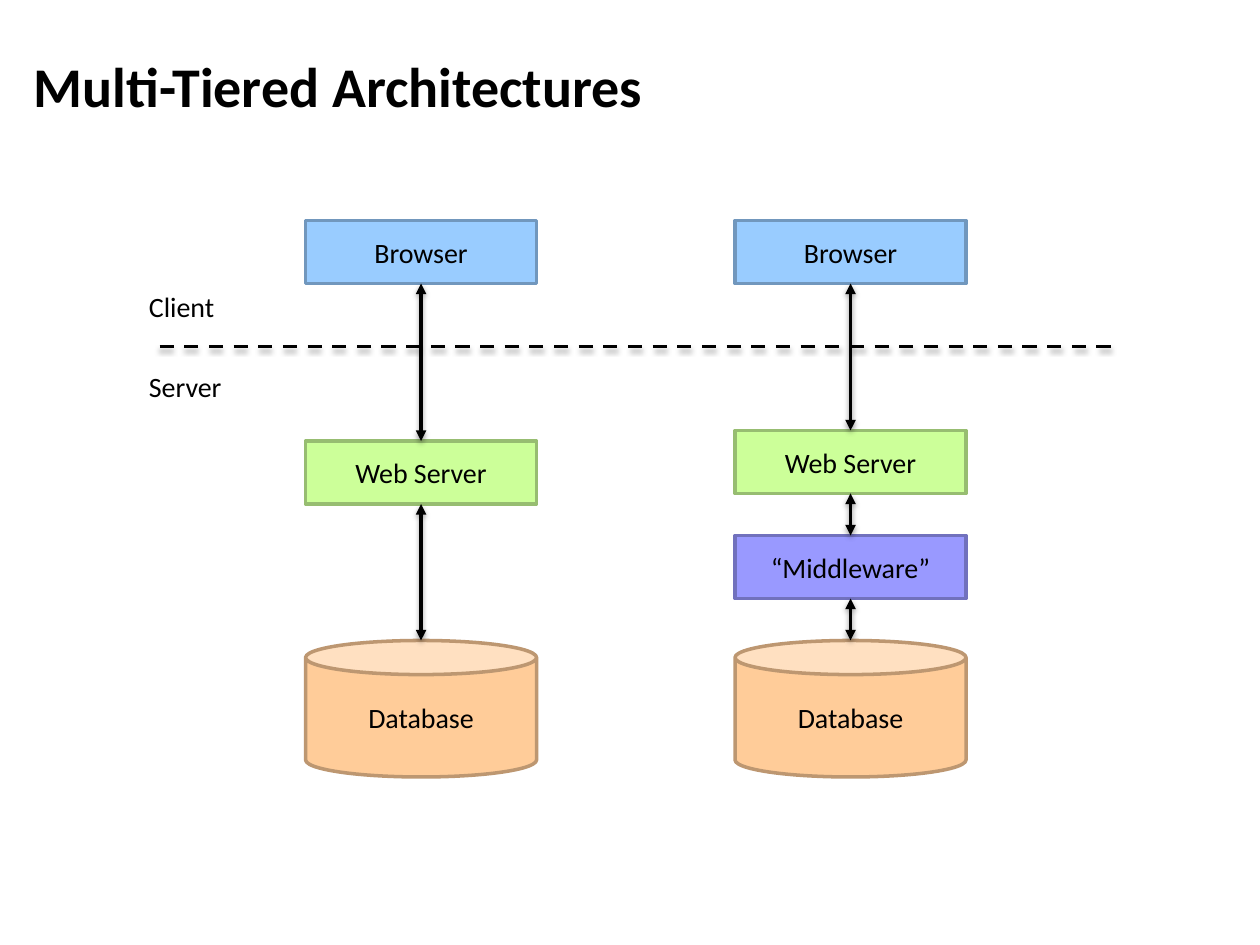
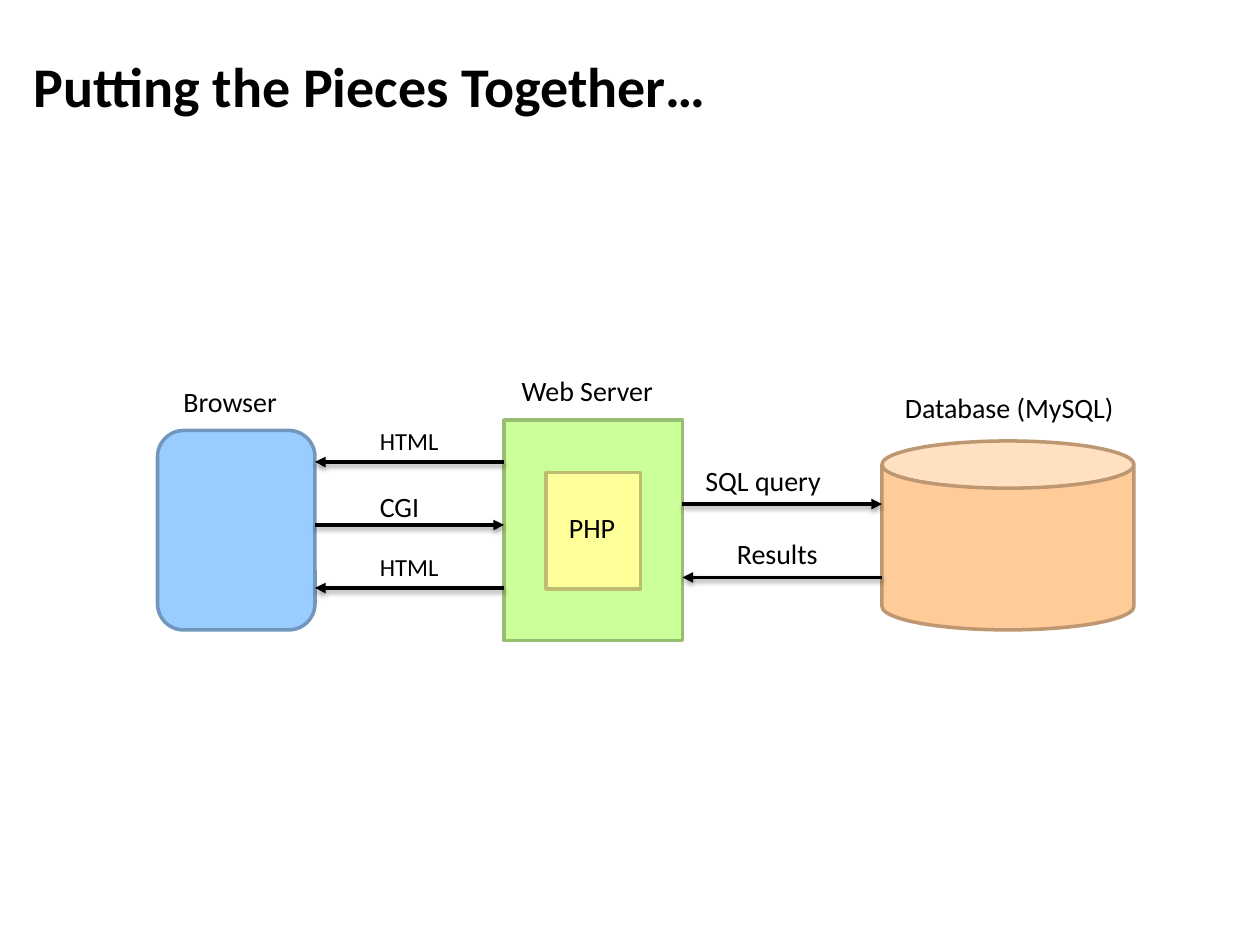
from dataclasses import dataclass
from itertools import pairwise

from lxml.etree import SubElement
from pptx import Presentation
from pptx.dml.color import RGBColor
from pptx.enum.dml import MSO_LINE
from pptx.enum.shapes import MSO_CONNECTOR, MSO_SHAPE
from pptx.enum.text import MSO_ANCHOR, PP_ALIGN
from pptx.oxml.ns import qn
from pptx.util import Inches, Pt

COLUMNS, ROWS = 120, 90
SLIDE_WIDTH, SLIDE_HEIGHT = Inches(10), Inches(7.5)
FONT = "Calibri"
BLACK = RGBColor(0x00, 0x00, 0x00)
BLUE = (RGBColor(0x99, 0xCC, 0xFF), RGBColor(0x71, 0x97, 0xBD))
GREEN = (RGBColor(0xCC, 0xFF, 0x99), RGBColor(0x97, 0xBD, 0x71))
PURPLE = (RGBColor(0x99, 0x99, 0xFF), RGBColor(0x71, 0x71, 0xBD))
ORANGE = (RGBColor(0xFF, 0xCC, 0x99), RGBColor(0xBD, 0x97, 0x71))
YELLOW = (RGBColor(0xFF, 0xFF, 0x99), RGBColor(0xBD, 0xBD, 0x71))


@dataclass(frozen=True)
class Box:
    left: float
    top: float
    width: float
    height: float

    @property
    def right(self):
        return self.left + self.width

    @property
    def bottom(self):
        return self.top + self.height

    @property
    def center(self):
        return self.left + self.width / 2

    def inner(self, left, top, width, height):
        return Box(self.left + left, self.top + top, width, height)

    def lengths(self):
        return (across(self.left), down(self.top), across(self.width), down(self.height))


def across(columns):
    return round(SLIDE_WIDTH * columns / COLUMNS)


def down(rows):
    return round(SLIDE_HEIGHT * rows / ROWS)


def set_text(text_frame, text, size, alignment=PP_ALIGN.LEFT, bold=False):
    text_frame.text = text
    paragraph = text_frame.paragraphs[0]
    paragraph.alignment = alignment
    paragraph.font.name = FONT
    paragraph.font.size = Pt(size)
    paragraph.font.bold = bold
    paragraph.font.color.rgb = BLACK


def add_titled_slide(presentation, title):
    slide = presentation.slides.add_slide(presentation.slide_layouts[5])
    placeholder = slide.shapes.title
    placeholder.left, placeholder.top, placeholder.width, placeholder.height = Box(
        2, 1.4, 114, 13.5).lengths()
    placeholder.text_frame.vertical_anchor = MSO_ANCHOR.MIDDLE
    set_text(placeholder.text_frame, title, 32, bold=True)
    return slide


def add_node(slide, kind, box, colors, text=""):
    shape = slide.shapes.add_shape(kind, *box.lengths())
    shape.shadow.inherit = False
    shape.fill.solid()
    shape.fill.fore_color.rgb, shape.line.color.rgb = colors
    shape.line.width = Pt(2)
    if text:
        shape.text_frame.word_wrap = False
        shape.text_frame.vertical_anchor = MSO_ANCHOR.MIDDLE
        set_text(shape.text_frame, text, 16, PP_ALIGN.CENTER)


def add_label(slide, box, text, size=16):
    label = slide.shapes.add_textbox(*box.lengths())
    label.text_frame.word_wrap = False
    set_text(label.text_frame, text, size)


def add_line(slide, start, end, arrow_ends=(), dashed=False):
    connector = slide.shapes.add_connector(
        MSO_CONNECTOR.STRAIGHT, across(start[0]), down(start[1]), across(end[0]), down(end[1]))
    connector.line.color.rgb = BLACK
    connector.line.width = Pt(2)
    if dashed:
        connector.line.dash_style = MSO_LINE.DASH
    properties = connector._element.spPr
    outline = properties.find(qn("a:ln"))
    for arrow_end in arrow_ends:
        SubElement(outline, qn(f"a:{arrow_end}"), type="triangle")
    effects = SubElement(properties, qn("a:effectLst"))
    shadow = SubElement(effects, qn("a:outerShdw"), blurRad=str(Pt(3.1)),
                        dist=str(Pt(1.6)), dir="5400000", rotWithShape="0")
    color = SubElement(shadow, qn("a:srgbClr"), val=str(BLACK))
    SubElement(color, qn("a:alpha"), val="38000")


def add_tier_stack(slide, box, middle_tiers):
    tiers = [("Browser", BLUE, 0), *middle_tiers]
    places = []
    for text, colors, top in tiers:
        place = box.inner(0, top, box.width, 6)
        add_node(slide, MSO_SHAPE.RECTANGLE, place, colors, text)
        places.append(place)
    database = box.inner(0, box.height - 13, box.width, 13)
    add_node(slide, MSO_SHAPE.CAN, database, ORANGE, "Database")
    for upper, lower in pairwise([*places, database]):
        add_line(slide, (upper.center, upper.bottom), (lower.center, lower.top),
                 ("headEnd", "tailEnd"))


def add_client_server_boundary(slide, box):
    middle = box.top + box.height / 2
    add_line(slide, (box.left + 2.2, middle), (box.right, middle), dashed=True)
    add_label(slide, box.inner(0, 0, 9, 4.4), "Client")
    add_label(slide, box.inner(0, 7.6, 9.6, 4.4), "Server")


def add_messages(slide, box, messages):
    for text, row, points_right, label_left, label_width, label_rise, size in messages:
        height = box.top + row
        ends = [(box.left, height), (box.right, height)]
        start, end = ends if points_right else reversed(ends)
        add_line(slide, start, end, ("tailEnd",))
        add_label(slide, box.inner(label_left, row - label_rise, label_width, 4.4), text, size)


def add_request_flow(slide, box):
    browser = box.inner(0, 6, 15, 19)
    server = box.inner(33, 5, 17, 21)
    database = box.inner(69, 7, 24, 18)
    add_node(slide, MSO_SHAPE.ROUNDED_RECTANGLE, browser, BLUE)
    add_node(slide, MSO_SHAPE.RECTANGLE, server, GREEN)
    add_node(slide, MSO_SHAPE.CAN, database, ORANGE)
    add_node(slide, MSO_SHAPE.RECTANGLE, server.inner(4, 5, 9, 11.1), YELLOW)
    add_label(slide, server.inner(5, 8, 7.1, 4.4), "PHP")
    add_label(slide, browser.inner(1.3, -5, 11.8, 4.4), "Browser")
    add_label(slide, server.inner(0.5, -5, 15.6, 4.4), "Web Server")
    add_label(slide, database.inner(1, -5.4, 23, 4.4), "Database (MySQL)")
    add_messages(slide, Box(browser.right, box.top, server.left - browser.right, box.height), [
        ("HTML", 9, False, 5, 8.6, 4, 14),
        ("CGI", 15, True, 5, 7, 4, 16),
        ("HTML", 21, False, 5, 8.6, 4, 14),
    ])
    add_messages(slide, Box(server.right, box.top, database.left - server.right, box.height), [
        ("SQL query", 13, True, 1, 14.3, 4.4, 16),
        ("Results", 20, False, 4, 10.2, 4.5, 16),
    ])


def main():
    presentation = Presentation()
    presentation.slide_width, presentation.slide_height = SLIDE_WIDTH, SLIDE_HEIGHT

    slide = add_titled_slide(presentation, "Multi-Tiered Architectures")
    add_client_server_boundary(slide, Box(13, 27, 93.2, 12))
    add_tier_stack(slide, Box(29.1, 21, 22, 53), [("Web Server", GREEN, 21)])
    add_tier_stack(slide, Box(70, 21, 22, 53),
                   [("Web Server", GREEN, 20), ("“Middleware”", PURPLE, 30)])

    slide = add_titled_slide(presentation, "Putting the Pieces Together…")
    add_request_flow(slide, Box(15, 35, 93, 26))

    presentation.save("out.pptx")


if __name__ == "__main__":
    main()
